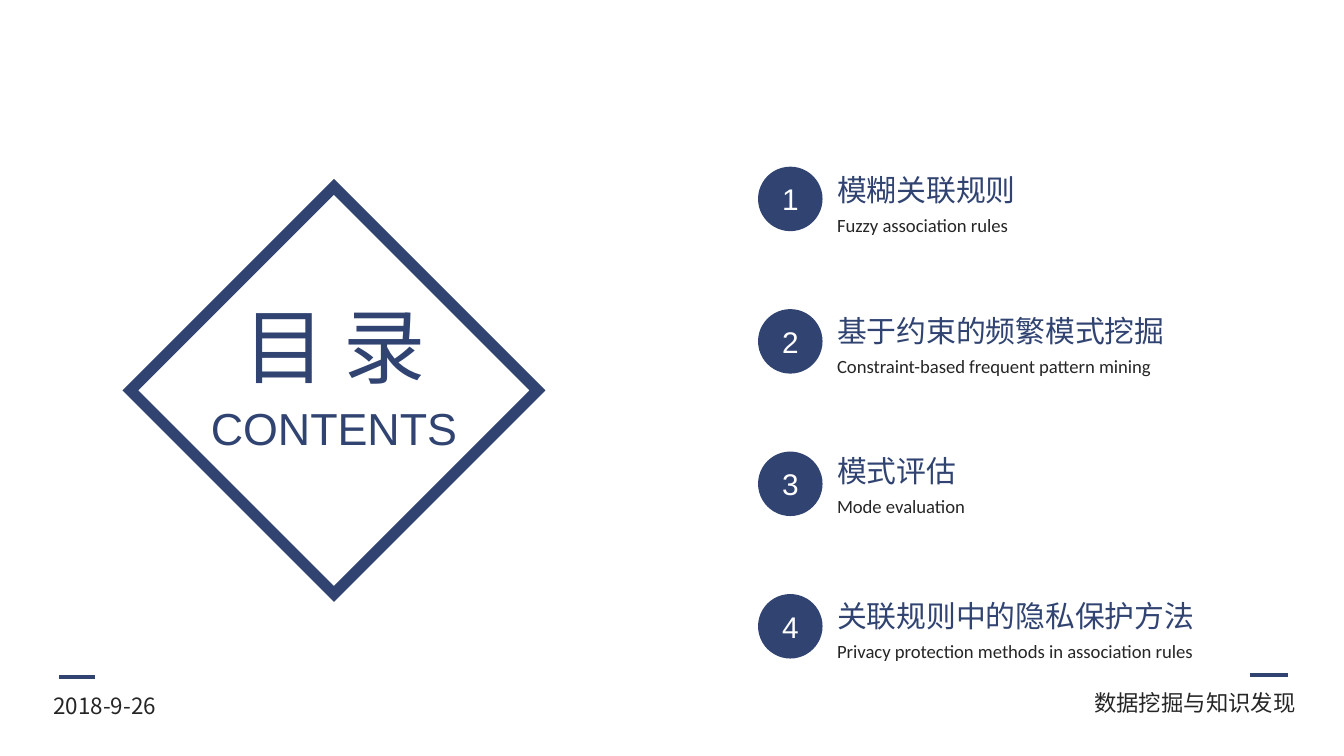
from dataclasses import dataclass

from lxml.etree import SubElement
from pptx import Presentation
from pptx.dml.color import RGBColor
from pptx.enum.shapes import MSO_CONNECTOR, MSO_SHAPE
from pptx.enum.text import MSO_ANCHOR, MSO_AUTO_SIZE, PP_ALIGN
from pptx.oxml.ns import qn
from pptx.util import Inches, Pt


@dataclass(frozen=True)
class Theme:
    navy: RGBColor = RGBColor(0x30, 0x43, 0x71)
    dark: RGBColor = RGBColor(0x26, 0x26, 0x26)
    white: RGBColor = RGBColor(0xFF, 0xFF, 0xFF)
    cjk: str = "Noto Sans CJK SC"
    sans: str = "Arial"
    small: str = "Calibri"
    title: int = 44
    sub: int = 24
    head: int = 16
    foot: int = 12
    note: int = 10


THEME = Theme()

# Top of the heading, heading, its width, caption, its width
TOPICS = [
    (1.23, "模糊关联规则", 1.55, "Fuzzy association rules", 1.48),
    (2.28, "基于约束的频繁模式挖掘", 2.67,
     "Constraint-based frequent pattern mining", 2.58),
    (3.32, "模式评估", 1.1, "Mode evaluation", 1.16),
    (4.4, "关联规则中的隐私保护方法", 2.89,
     "Privacy protection methods in association rules", 2.87),
]
BADGE_TOP, BADGE_STEP, BADGE_SIZE = 1.24, 1.06, 0.48


def write(frame, text, font, size, color, align=PP_ALIGN.LEFT):
    frame.text = text
    para = frame.paragraphs[0]
    para.alignment = align
    for run in para.runs:
        run.font.name = font
        run.font.size = Pt(size)
        run.font.color.rgb = color
        # East Asian glyphs take their typeface from a:ea
        SubElement(run.font._element, qn("a:ea"), typeface=font)


def add_text(slide, box, *style):
    frame = slide.shapes.add_textbox(*map(Inches, box)).text_frame
    frame.word_wrap = False
    frame.auto_size = MSO_AUTO_SIZE.SHAPE_TO_FIT_TEXT
    write(frame, *style)


def set_title(slide, box, text):
    title = slide.shapes.title
    title.left, title.top, title.width, title.height = map(Inches, box)
    frame = title.text_frame
    frame.word_wrap = False
    frame.auto_size = MSO_AUTO_SIZE.NONE
    frame.vertical_anchor = MSO_ANCHOR.TOP
    write(frame, text, THEME.cjk, THEME.title, THEME.navy, PP_ALIGN.CENTER)


def add_frame(slide, box):
    shape = slide.shapes.add_shape(MSO_SHAPE.DIAMOND, *map(Inches, box))
    shape.shadow.inherit = False
    shape.fill.background()
    shape.line.color.rgb = THEME.navy
    shape.line.width = Pt(6)
    # Sharp corners
    SubElement(shape.line._get_or_add_ln(), qn("a:miter"), lim="800000")


def add_badge(slide, top, number):
    box = (5.64, top, BADGE_SIZE, BADGE_SIZE)
    shape = slide.shapes.add_shape(MSO_SHAPE.OVAL, *map(Inches, box))
    shape.shadow.inherit = False
    shape.fill.solid()
    shape.fill.fore_color.rgb = THEME.navy
    shape.line.fill.background()
    frame = shape.text_frame
    frame.vertical_anchor = MSO_ANCHOR.MIDDLE
    write(frame, str(number), THEME.sans, THEME.head, THEME.white,
          PP_ALIGN.CENTER)


def add_topic(slide, number, topic):
    top, head, head_width, note, note_width = topic
    add_badge(slide, BADGE_TOP + (number - 1) * BADGE_STEP, number)
    add_text(slide, (6.13, top, head_width, 0.37), head,
             THEME.cjk, THEME.head, THEME.navy)
    add_text(slide, (6.13, top + 0.31, note_width, 0.27), note,
             THEME.small, THEME.note, THEME.dark)


def add_dash(slide, left, right, top):
    ends = map(Inches, (left, top, right, top))
    line = slide.shapes.add_connector(MSO_CONNECTOR.STRAIGHT, *ends)
    line.line.color.rgb = THEME.navy
    line.line.width = Pt(2.25)
    SubElement(line._element.spPr, qn("a:effectLst"))


def main():
    # A 16:9 slide
    deck = Presentation()
    deck.slide_width = Inches(10)
    deck.slide_height = deck.slide_width * 9 // 16
    slide = deck.slides.add_slide(deck.slide_layouts.get_by_name("Title Only"))

    # Diamond with the title
    add_frame(slide, (0.97, 1.39, 3.03, 3.03))
    set_title(slide, (1.68, 2.15, 1.62, 0.84), "目 录")
    add_text(slide, (1.46, 2.93, 2.05, 0.5), "CONTENTS",
             THEME.sans, THEME.sub, THEME.navy, PP_ALIGN.CENTER)

    # Numbered topics
    for number, topic in enumerate(TOPICS, 1):
        add_topic(slide, number, topic)

    # Date and course in the footer
    add_dash(slide, 0.44, 0.71, 5.04)
    add_text(slide, (0.3, 5.1, 1.04, 0.3), "2018-9-26",
             THEME.cjk, THEME.foot, THEME.dark)
    add_dash(slide, 9.3, 9.58, 5.02)
    add_text(slide, (8.02, 5.08, 1.72, 0.3), "数据挖掘与知识发现",
             THEME.cjk, THEME.foot, THEME.dark, PP_ALIGN.RIGHT)

    deck.save("out.pptx")


if __name__ == "__main__":
    main()
